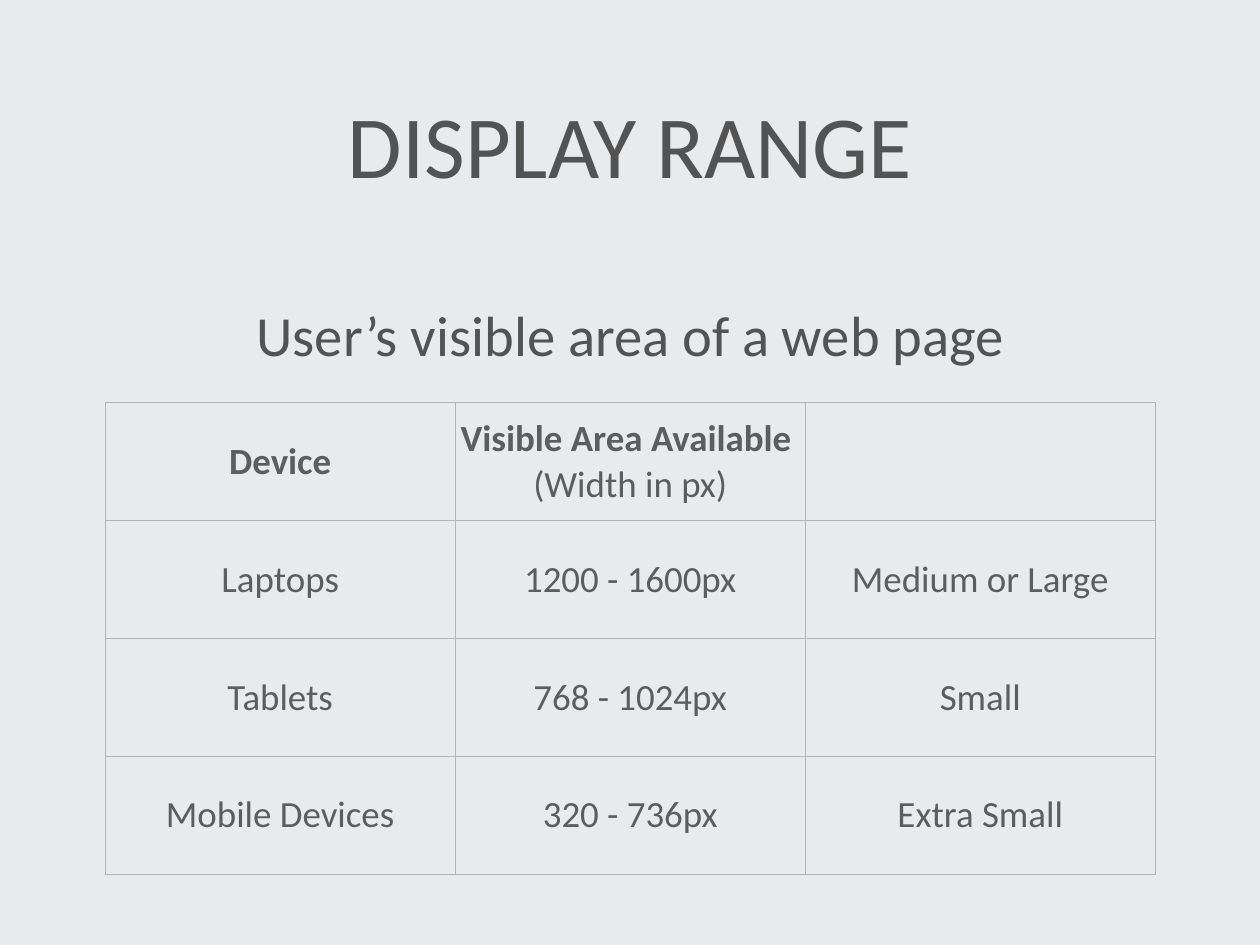
from lxml.etree import SubElement
from pptx import Presentation
from pptx.dml.color import RGBColor
from pptx.enum.text import MSO_ANCHOR, PP_ALIGN
from pptx.oxml.ns import qn
from pptx.util import Pt

TITLE_ONLY = 5
BACKGROUND, TEXT, TABLE_TEXT, BORDER = "E8EAEB", "535353", "5A5F5E", "B4B4B4"
INSET = Pt(4)
COLUMN_WIDTH, ROW_HEIGHT = Pt(284.5), Pt(95.75)

# Each cell is a list of (text, bold) lines.
HEADER = [
    [("Device", True)],
    [("Visible Area Available ", True), ("(Width in px)", False)],
    [],
]
DEVICES = [
    ("Laptops", "1200 - 1600px", "Medium or Large"),
    ("Tablets", "768 - 1024px", "Small"),
    ("Mobile Devices", "320 - 736px", "Extra Small"),
]


def set_values(target, values):
    """Set each named attribute of the target."""
    for name, value in values.items():
        setattr(target, name, value)


def color(hex_string):
    """Turn a hex string into a colour."""
    return RGBColor.from_string(hex_string)


def write_line(para, text, size, hex_string, bold=False):
    """Write one centred line of text into a paragraph."""
    para.alignment = PP_ALIGN.CENTER
    span = para.add_run()
    span.text = text
    set_values(span.font, {"name": "Calibri", "size": Pt(size), "bold": bold})
    span.font.color.rgb = color(hex_string)


def write_heading(box, bounds, text, size):
    """Place a heading box and return its paragraph after writing the text."""
    set_values(box, dict(zip(("left", "top", "width", "height"), map(Pt, bounds))))
    frame = box.text_frame
    set_values(frame, {"word_wrap": True, "vertical_anchor": MSO_ANCHOR.MIDDLE})
    for side in ("left", "top", "right", "bottom"):
        setattr(frame, f"margin_{side}", INSET)
    para = frame.paragraphs[0]
    write_line(para, text, size, TEXT)
    return para


def add_borders(cell):
    """Draw a thin line on all four sides of a cell."""
    properties = cell._tc.get_or_add_tcPr()
    for index, side in enumerate("LRTB"):
        line = SubElement(properties, qn(f"a:ln{side}"), w=str(Pt(1)))
        fill = SubElement(line, qn("a:solidFill"))
        SubElement(fill, qn("a:srgbClr"), val=BORDER)
        properties.insert(index, line)


def fill_cell(cell, lines):
    """Format a cell and write its lines."""
    cell.fill.background()
    add_borders(cell)
    cell.vertical_anchor = MSO_ANCHOR.MIDDLE
    for side in ("left", "top", "right", "bottom"):
        setattr(cell, f"margin_{side}", INSET)
    frame = cell.text_frame
    for index, (text, bold) in enumerate(lines):
        para = frame.add_paragraph() if index else frame.paragraphs[0]
        write_line(para, text, 30, TABLE_TEXT, bold)


def add_device_table(page):
    """Add the table of devices and their visible widths."""
    rows = [HEADER] + [[[(text, False)] for text in device] for device in DEVICES]
    table = page.shapes.add_table(
        len(rows), len(HEADER), Pt(85.5), Pt(327.5),
        COLUMN_WIDTH * len(HEADER), ROW_HEIGHT * len(rows),
    ).table
    set_values(table, {"first_row": False, "horz_banding": False})
    for column in table.columns:
        column.width = COLUMN_WIDTH
    for table_row, row in zip(table.rows, rows):
        table_row.height = ROW_HEIGHT
        for cell, lines in zip(table_row.cells, row):
            fill_cell(cell, lines)


def main():
    """Build the display range slide."""
    deck = Presentation()
    set_values(deck, {"slide_width": Pt(1024), "slide_height": Pt(768)})
    page = deck.slides.add_slide(deck.slide_layouts[TITLE_ONLY])
    page.background.fill.solid()
    page.background.fill.fore_color.rgb = color(BACKGROUND)

    write_heading(page.shapes.title, (28, 20, 968, 192), "DISPLAY RANGE", 72)
    subtitle = page.shapes.add_textbox(0, 0, 0, 0)
    para = write_heading(
        subtitle, (28, 215, 968, 101), "User’s visible area of a web page", 46
    )
    set_values(para, {"line_spacing": 1.2, "space_before": Pt(46)})
    add_device_table(page)
    deck.save("out.pptx")


main()
